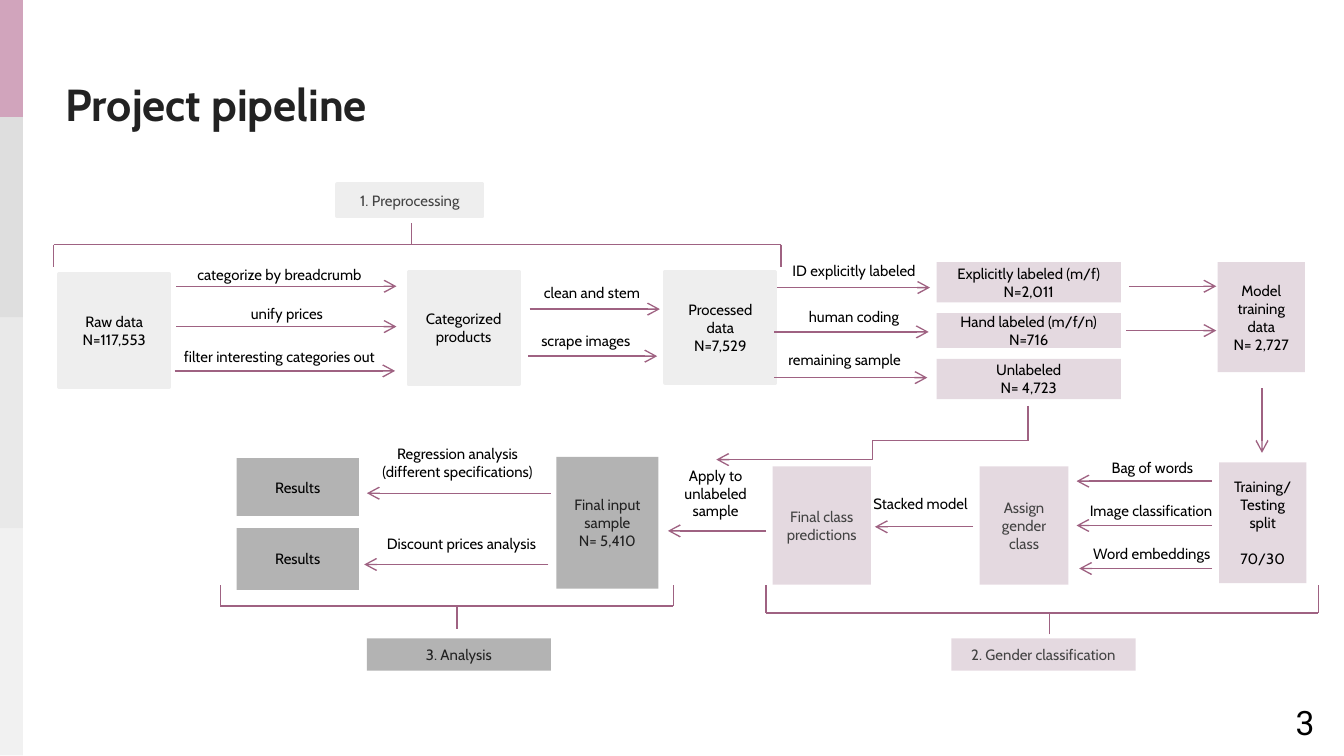
from lxml import etree
from pptx import Presentation
from pptx.dml.color import RGBColor
from pptx.enum.shapes import MSO_CONNECTOR, MSO_SHAPE
from pptx.enum.text import MSO_ANCHOR, PP_ALIGN
from pptx.oxml.ns import qn
from pptx.util import Inches, Pt

RECT = MSO_SHAPE.RECTANGLE
STRAIGHT, ELBOW = MSO_CONNECTOR.STRAIGHT, MSO_CONNECTOR.ELBOW
LEFT, CENTER, RIGHT = PP_ALIGN.LEFT, PP_ALIGN.CENTER, PP_ALIGN.RIGHT
TOP, MIDDLE = MSO_ANCHOR.TOP, MSO_ANCHOR.MIDDLE

BLACK, INK, GREY_TEXT, PLUM = "000000", "222222", "434343", "9F6282"
# Stage styles: fill, opacity in percent, outline width in points
PREP = ("EEEEEE", 100, 2)
GENDER = ("CBB5C2", 50, 0)
ANALYSIS = ("B3B3B3", 100, 0)

# Boxes: stage, text colour, left, top, width, height, paragraphs
BOXES = [
    (PREP, GREY_TEXT, 2.51, 1.37, 1.08, 0.24, ["1. Preprocessing"]),
    (PREP, BLACK, 0.44, 2.04, 0.82, 0.84, ["Raw data", "N=117,553"]),
    (PREP, BLACK, 3.04, 2.02, 0.82, 0.84, ["Categorized", "products"]),
    (PREP, BLACK, 4.95, 2.02, 0.82, 0.83, ["Processed data", "N=7,529"]),
    (GENDER, BLACK, 6.97, 1.95, 1.37, 0.30, ["Explicitly labeled (m/f) N=2,011"]),
    (GENDER, BLACK, 6.97, 2.33, 1.37, 0.26, ["Hand labeled (m/f/n) N=716"]),
    (GENDER, BLACK, 6.97, 2.67, 1.37, 0.30, ["Unlabeled", "N= 4,723"]),
    (GENDER, BLACK, 9.06, 1.95, 0.65, 0.82, ["Model training", "data", "N= 2,727"]),
    (GENDER, BLACK, 9.07, 3.44, 0.65, 0.90, ["Training/Testing split", "70/30"]),
    (GENDER, GREY_TEXT, 7.29, 3.47, 0.66, 0.88, ["Assign gender class"]),
    (GENDER, GREY_TEXT, 5.75, 3.47, 0.73, 0.88, ["Final class", "predictions"]),
    (GENDER, GREY_TEXT, 7.08, 4.75, 1.37, 0.24, ["2. Gender classification"]),
    (ANALYSIS, INK, 4.14, 3.40, 0.76, 0.98, ["Final input sample", "N= 5,410"]),
    (ANALYSIS, BLACK, 1.76, 3.41, 0.91, 0.43, ["Results"]),
    (ANALYSIS, BLACK, 1.76, 3.93, 0.91, 0.46, ["Results"]),
    (ANALYSIS, INK, 2.73, 4.75, 1.37, 0.24, ["3. Analysis"]),
]
SPACE_BEFORE = {"70/30": 9.7}

# Horizontal arrows: from x, to x, y, then label left, top, width, align, paragraphs
LABELED_ARROWS = [
    (1.31, 2.95, 2.13, 1.37, 1.93, 1.82, LEFT, ["categorize by breadcrumb"]),
    (1.31, 2.95, 2.43, 1.14, 2.22, 1.99, CENTER, ["unify prices"]),
    (1.30, 2.94, 2.76, 1.27, 2.54, 1.82, LEFT, ["filter interesting categories out"]),
    (3.94, 4.91, 2.30, 3.92, 2.06, 0.97, CENTER, ["clean and stem"]),
    (3.93, 4.89, 2.65, 3.83, 2.42, 1.06, CENTER, ["scrape images"]),
    (5.78, 6.92, 2.14, 5.64, 1.90, 1.43, CENTER, ["ID explicitly labeled"]),
    (5.76, 6.91, 2.47, 5.64, 2.24, 1.43, CENTER, ["human coding"]),
    (5.76, 6.90, 2.81, 5.57, 2.56, 1.43, CENTER, ["remaining sample"]),
    (9.02, 8.01, 3.58, 7.85, 3.36, 1.45, CENTER, ["Bag of words"]),
    (9.02, 8.01, 3.91, 7.84, 3.68, 1.45, CENTER, ["Image classification"]),
    (9.02, 8.03, 4.23, 7.98, 4.00, 1.18, CENTER, ["Word embeddings"]),
    (7.24, 6.51, 3.92, 6.35, 3.63, 1.00, CENTER, ["Stacked model"]),
    (5.70, 4.97, 3.95, 4.79, 3.42, 1.07, CENTER, ["Apply to unlabeled", "sample"]),
    (4.10, 2.73, 3.67, 2.60, 3.26, 1.61, CENTER,
     ["Regression analysis", "(different specifications)"]),
    (4.08, 2.71, 4.20, 2.63, 3.93, 1.61, CENTER, ["Discount prices analysis"]),
]
PLAIN_ARROWS = [
    (8.40, 2.13, 9.05, 2.13),
    (8.38, 2.46, 9.05, 2.46),
    (9.39, 2.89, 9.39, 3.37),
]
# Brackets: left, right, bar y, leg end y, stem x, stem end y
BRACKETS = [
    (0.40, 5.81, 1.82, 1.99, 3.06, 1.66),
    (1.64, 5.01, 4.51, 4.35, 3.40, 4.68),
    (5.70, 9.81, 4.56, 4.35, 7.81, 4.72),
]
# Side bar layers: height, fill, opacity
SIDE_BAR = [(5.62, "7F7F7F", 10), (3.93, "A6A6A6", 10),
            (2.36, "7F7F7F", 10), (0.87, "D1A4BC", 100)]

prs = Presentation()
prs.slide_width = Inches(10)
prs.slide_height = Inches(10 * 9 / 16)
s = prs.slides.add_slide(prs.slide_layouts[6])


def rgb(color):
    return RGBColor.from_string(color)


def write(sp, paragraphs, color, size=8, align=CENTER, anchor=TOP,
          font="Cabin", bold=False):
    tf = sp.text_frame
    tf.word_wrap = True
    tf.vertical_anchor = anchor
    for i, text in enumerate(paragraphs):
        p = tf.add_paragraph() if i else tf.paragraphs[0]
        p.alignment = align
        if text in SPACE_BEFORE:
            p.space_before = Pt(SPACE_BEFORE[text])
        r = p.add_run()
        r.text = text
        r.font.name, r.font.size, r.font.bold = font, Pt(size), bold
        r.font.color.rgb = rgb(color)


def add_text(x, y, w, h, paragraphs, color, **style):
    sp = s.shapes.add_textbox(Inches(x), Inches(y), Inches(w), Inches(h))
    write(sp, paragraphs, color, **style)
    return sp


def add_rect(x, y, w, h, fill, opacity=100, outline=0):
    sp = s.shapes.add_shape(RECT, Inches(x), Inches(y), Inches(w), Inches(h))
    sp.shadow.inherit = False
    sp.fill.solid()
    sp.fill.fore_color.rgb = rgb(fill)
    if opacity < 100:
        clr = sp.fill._xPr.find(qn("a:solidFill"))[0]
        etree.SubElement(clr, qn("a:alpha")).set("val", str(opacity * 1000))
    if outline:
        sp.line.color.rgb = rgb(fill)
        sp.line.width = Pt(outline)
    else:
        sp.line.fill.background()
    return sp


def add_line(x1, y1, x2, y2, arrow=False, kind=STRAIGHT):
    c = s.shapes.add_connector(kind, Inches(x1), Inches(y1), Inches(x2), Inches(y2))
    c.line.color.rgb = rgb(PLUM)
    c.line.width = Pt(0.75)
    if arrow:
        etree.SubElement(c.line._get_or_add_ln(), qn("a:tailEnd")).set("type", "arrow")
    etree.SubElement(c._element.spPr, qn("a:effectLst"))


# Stage boxes
for (fill, opacity, outline), color, x, y, w, h, paragraphs in BOXES:
    write(add_rect(x, y, w, h, fill, opacity, outline), paragraphs, color, anchor=MIDDLE)

# Arrows and their labels
for x1, x2, y, lx, ly, lw, align, paragraphs in LABELED_ARROWS:
    add_line(x1, y, x2, y, arrow=True)
    add_text(lx, ly, lw, 0.11 + 0.13 * len(paragraphs), paragraphs, BLACK, align=align)
for ends in PLAIN_ARROWS:
    add_line(*ends, arrow=True)

# Path from the unlabeled sample to the final input
add_line(7.65, 3.02, 7.65, 3.28)
add_line(7.65, 3.28, 5.33, 3.42, arrow=True, kind=ELBOW)

# Stage brackets
for left, right, y, leg_y, stem_x, stem_y in BRACKETS:
    add_line(left, y, right, y)
    for x in (left, right):
        add_line(x, y, x, leg_y)
    add_line(stem_x, stem_y, stem_x, y)

# Title, side bar and page number
title = add_text(0.39, 0.47, 3.8, 0.59, ["Project pipeline"], INK,
                 size=24, align=LEFT, bold=True)
title.text_frame.margin_top = title.text_frame.margin_bottom = Inches(0.1)
for h, fill, opacity in SIDE_BAR:
    add_rect(-0.01, 0, 0.18, h, fill, opacity)
add_text(9.28, 5.16, 0.6, 0.43, ["3"], BLACK, size=18, align=RIGHT,
         anchor=MIDDLE, font="Roboto")

prs.save("out.pptx")
